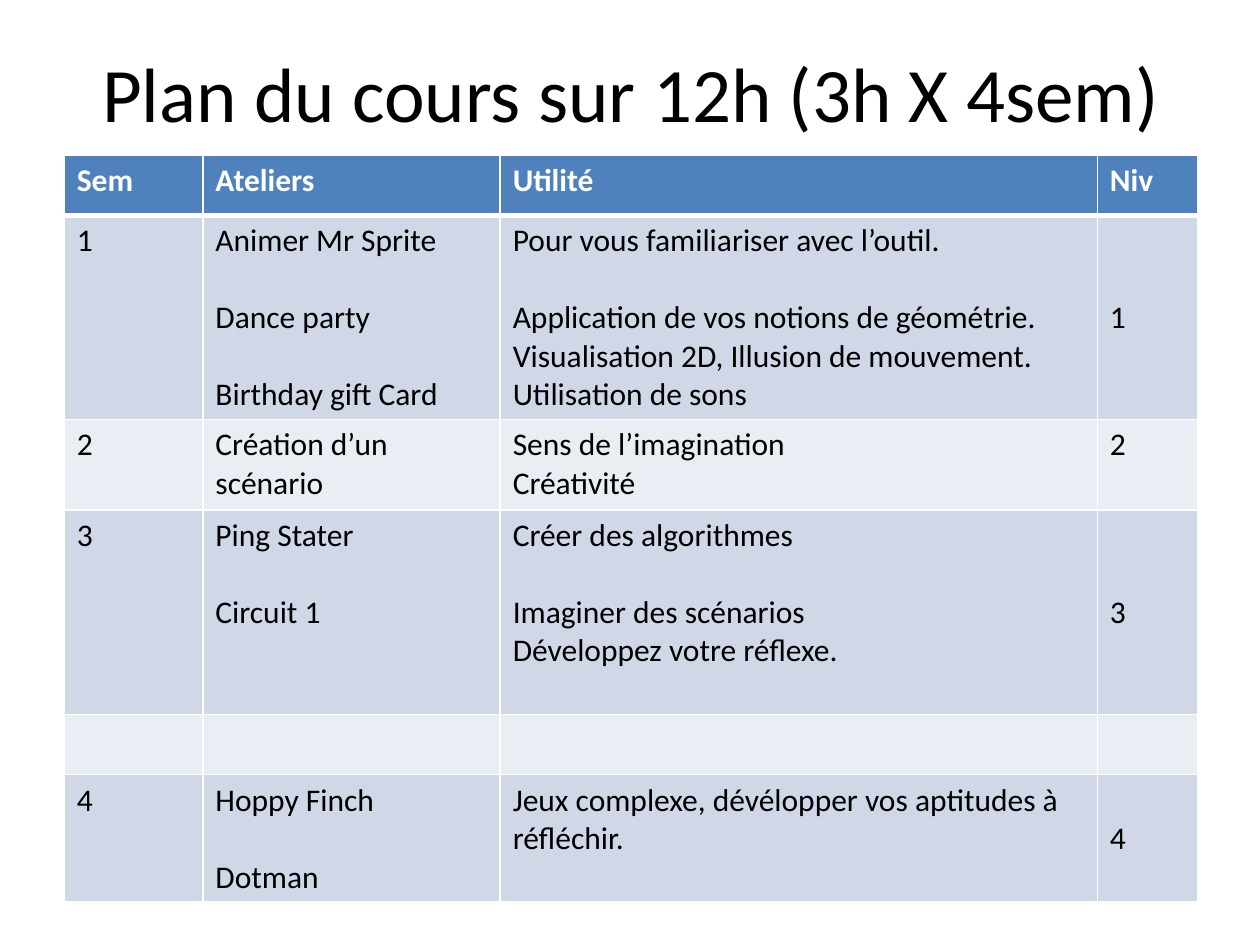
from dataclasses import dataclass

from lxml import etree
from pptx import Presentation
from pptx.dml.color import RGBColor
from pptx.enum import text
from pptx.oxml import ns
from pptx.util import Inches, Pt

FONT = "Calibri"
COLORS = {
    "text": "000000",
    "white": "FFFFFF",
    "header": "4F81BD",
    "dark_band": "D0D8E8",
    "light_band": "E9EDF4",
}
LINE = Pt(22)  # height of one text line at 18 pt
GAP = "+"  # prefix: one line of space before this paragraph
COLUMN_WIDTHS = (1.1, 2.36, 4.74, 0.8)


@dataclass
class CourseRow:
    height: float
    week: str = ""
    workshops: tuple[str, ...] = ()
    benefits: tuple[str, ...] = ()
    level: str = ""
    level_drop: int = 0  # lines between the cell top and the level


HEADER = CourseRow(0.48, "Sem", ("Ateliers",), ("Utilité",), "Niv")
COURSE_ROWS = (
    CourseRow(
        1.62, "1",
        ("Animer Mr Sprite", "+Dance party", "+Birthday gift Card"),
        ("Pour vous familiariser avec l’outil.",
         "+Application de vos notions de géométrie.",
         "Visualisation 2D, Illusion de mouvement.",
         "Utilisation de sons"),
        "1", 2),
    CourseRow(0.72, "2", ("Création d’un scénario",),
              ("Sens de l’imagination", "Créativité"), "2"),
    CourseRow(
        1.62, "3", ("Ping Stater", "+Circuit 1"),
        ("Créer des algorithmes", "+Imaginer des scénarios",
         "Développez votre réflexe."),
        "3", 2),
    CourseRow(0.48),
    CourseRow(1.01, "4", ("Hoppy Finch", "+Dotman"),
              ("Jeux complexe, dévélopper vos aptitudes à réfléchir.",),
              "4", 1),
)


def write_text(frame, lines: tuple[str, ...], *, size: int = 18,
               color: str = "text", bold: bool = False,
               align=text.PP_ALIGN.LEFT) -> None:
    """Write one paragraph per line with the given format."""
    for index, line in enumerate(lines):
        para = frame.paragraphs[0] if index == 0 else frame.add_paragraph()
        para.alignment = align
        if line.startswith(GAP):
            para.space_before = LINE
        span = para.add_run()
        span.text = line.removeprefix(GAP)
        span.font.name = FONT
        span.font.size = Pt(size)
        span.font.bold = bold
        span.font.color.rgb = RGBColor.from_string(COLORS[color])


def set_borders(cell, *, top: int = 1, bottom: int = 1) -> None:
    """Draw white cell borders; widths are in points."""
    properties = cell._tc.get_or_add_tcPr()
    widths = {"lnL": 1, "lnR": 1, "lnT": top, "lnB": bottom}
    for index, (side, width) in enumerate(widths.items()):
        line = etree.Element(ns.qn(f"a:{side}"), w=str(Pt(width)))
        fill = etree.SubElement(line, ns.qn("a:solidFill"))
        etree.SubElement(fill, ns.qn("a:srgbClr"), val=COLORS["white"])
        properties.insert(index, line)


def fill_row(table, index: int, row: CourseRow) -> None:
    """Fill and format one table row."""
    is_header = index == 0
    band = "header" if is_header else ("light_band", "dark_band")[index % 2]
    table.rows[index].height = Inches(row.height)
    contents = ((row.week,), row.workshops, row.benefits, (row.level,))
    for column, lines in enumerate(contents):
        cell = table.cell(index, column)
        set_borders(cell, top=3 if index == 1 else 1,
                    bottom=3 if is_header else 1)
        cell.fill.solid()
        cell.fill.fore_color.rgb = RGBColor.from_string(COLORS[band])
        if any(lines):
            write_text(cell.text_frame, lines, bold=is_header,
                       color="white" if is_header else "text")
    if row.level_drop:
        table.cell(index, 3).margin_top = Inches(0.05) + row.level_drop * LINE


def add_title(page, title: str) -> None:
    box = page.shapes.add_textbox(Inches(0.51), Inches(0.21),
                                  Inches(9), Inches(1.03))
    box.text_frame.word_wrap = True
    box.text_frame.vertical_anchor = text.MSO_ANCHOR.MIDDLE
    write_text(box.text_frame, (title,), size=44, align=text.PP_ALIGN.CENTER)


def add_course_table(page) -> None:
    rows = (HEADER, *COURSE_ROWS)
    table = page.shapes.add_table(
        len(rows), len(COLUMN_WIDTHS), Inches(0.51), Inches(1.23),
        Inches(sum(COLUMN_WIDTHS)), Inches(sum(row.height for row in rows)),
    ).table
    for column, width in zip(table.columns, COLUMN_WIDTHS):
        column.width = Inches(width)
    for index, row in enumerate(rows):
        fill_row(table, index, row)


def main() -> None:
    deck = Presentation()
    deck.slide_width, deck.slide_height = Inches(10), Inches(7.5)
    page = deck.slides.add_slide(deck.slide_layouts[6])
    # Title
    add_title(page, "Plan du cours sur 12h (3h X 4sem)")
    # Course plan
    add_course_table(page)
    deck.save("out.pptx")


main()
